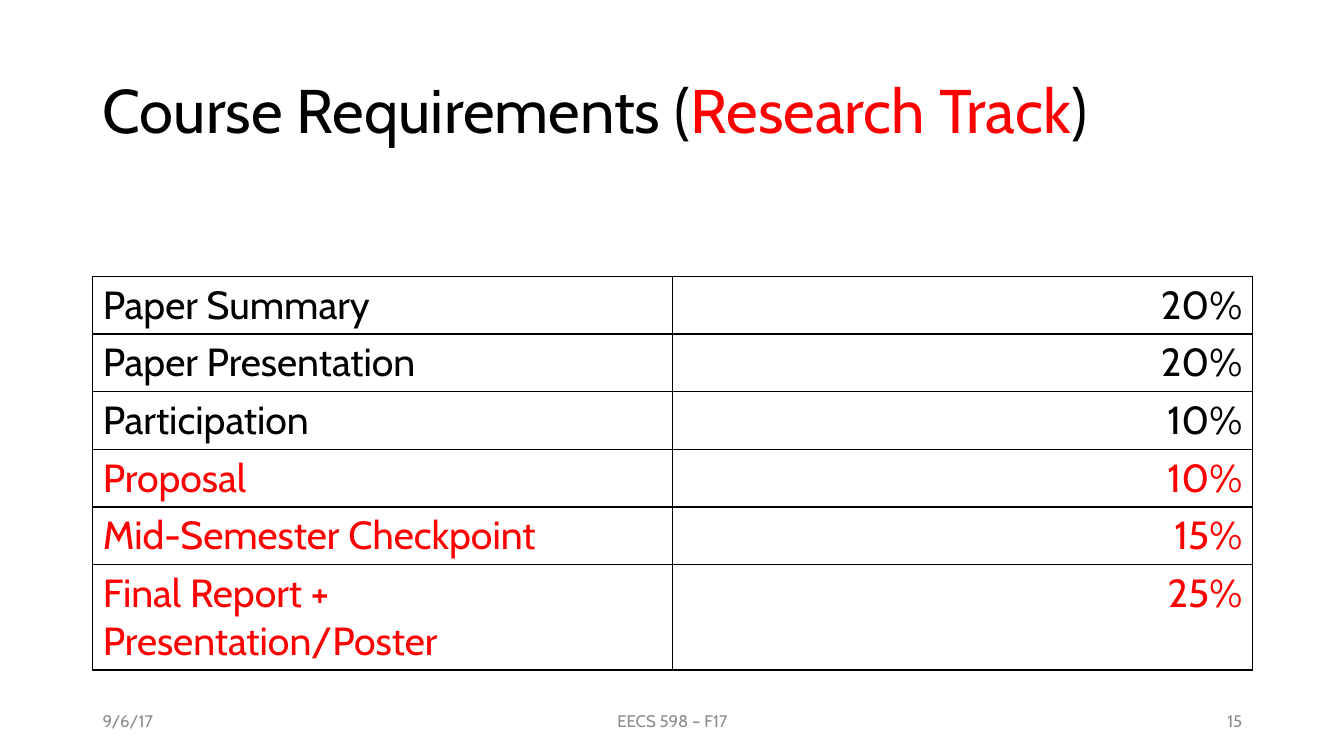
from dataclasses import dataclass

from lxml import etree
from pptx import Presentation
from pptx.dml.color import RGBColor
from pptx.enum.text import MSO_ANCHOR, MSO_AUTO_SIZE, PP_ALIGN
from pptx.oxml.ns import qn
from pptx.util import Inches, Pt

LEFT, CENTER, RIGHT = PP_ALIGN.LEFT, PP_ALIGN.CENTER, PP_ALIGN.RIGHT
MIDDLE = MSO_ANCHOR.MIDDLE
NO_AUTOFIT = MSO_AUTO_SIZE.NONE
TITLE_ONLY = 5


@dataclass(frozen=True)
class Theme:
    font: str = "Cabin"
    ink: str = "000000"
    accent: str = "FF0000"
    muted: str = "8C8C8C"
    title_size: int = 44
    table_size: int = 28
    footer_size: int = 12
    border_width: int = 1


THEME = Theme()
MARGIN, CONTENT_WIDTH = 0.92, 11.5
ROW_HEIGHT, TWO_LINE_ROW_HEIGHT = 0.57, 1.04

TITLE = [
    ("Course Requirements (", THEME.ink),
    ("Research Track", THEME.accent),
    (")", THEME.ink),
]
# Requirement, share of the grade, colour
REQUIREMENTS = [
    ("Paper Summary", "20%", THEME.ink),
    ("Paper Presentation", "20%", THEME.ink),
    ("Participation", "10%", THEME.ink),
    ("Proposal", "10%", THEME.accent),
    ("Mid-Semester Checkpoint", "15%", THEME.accent),
    ("Final Report + Presentation/Poster", "25%", THEME.accent),
]
# Text, left, width, alignment
FOOTERS = [
    ("9/6/17", MARGIN, 3, LEFT),
    ("EECS 598 – F17", 4.42, 4.5, CENTER),
    ("15", 9.42, 3, RIGHT),
]


def write(paragraph, text, *, size, color, align=LEFT):
    paragraph.alignment = align
    run = paragraph.add_run()
    run.text = text
    run.font.name = THEME.font
    run.font.size = Pt(size)
    run.font.color.rgb = RGBColor.from_string(color)


def add_title(slide):
    title = slide.shapes.title
    title.left, title.top = Inches(MARGIN), Inches(0.4)
    title.width, title.height = Inches(CONTENT_WIDTH), Inches(1.45)
    frame = title.text_frame
    frame.auto_size = NO_AUTOFIT
    frame.vertical_anchor = MIDDLE
    heading = frame.paragraphs[0]
    heading.line_spacing = 0.9
    for text, color in TITLE:
        write(heading, text, size=THEME.title_size, color=color)


def add_borders(cell):
    properties = cell._tc.get_or_add_tcPr()
    for position, side in enumerate(("lnL", "lnR", "lnT", "lnB")):
        border = etree.Element(qn(f"a:{side}"), w=str(Pt(THEME.border_width)))
        fill = etree.SubElement(border, qn("a:solidFill"))
        etree.SubElement(fill, qn("a:srgbClr"), val=THEME.ink)
        properties.insert(position, border)


def add_requirements(slide):
    heights = [ROW_HEIGHT] * (len(REQUIREMENTS) - 1) + [TWO_LINE_ROW_HEIGHT]
    table = slide.shapes.add_table(
        len(REQUIREMENTS), 2, Inches(MARGIN), Inches(2.74),
        Inches(CONTENT_WIDTH), Inches(sum(heights))).table
    table.first_row = table.horz_banding = False
    for row, height, (name, share, color) in zip(table.rows, heights, REQUIREMENTS):
        row.height = Inches(height)
        for cell, text, align in zip(row.cells, (name, share), (LEFT, RIGHT)):
            cell.fill.background()
            add_borders(cell)
            write(cell.text_frame.paragraphs[0], text,
                  size=THEME.table_size, color=color, align=align)


def add_footer(slide, text, left, width, align):
    frame = slide.shapes.add_textbox(
        Inches(left), Inches(6.95), Inches(width), Inches(0.4)).text_frame
    frame.word_wrap = True
    frame.vertical_anchor = MIDDLE
    write(frame.paragraphs[0], text,
          size=THEME.footer_size, color=THEME.muted, align=align)


def main():
    deck = Presentation()
    deck.slide_width, deck.slide_height = Inches(13.33), Inches(7.5)
    slide = deck.slides.add_slide(deck.slide_layouts[TITLE_ONLY])
    add_title(slide)
    add_requirements(slide)
    for footer in FOOTERS:
        add_footer(slide, *footer)
    deck.save("out.pptx")


if __name__ == "__main__":
    main()
